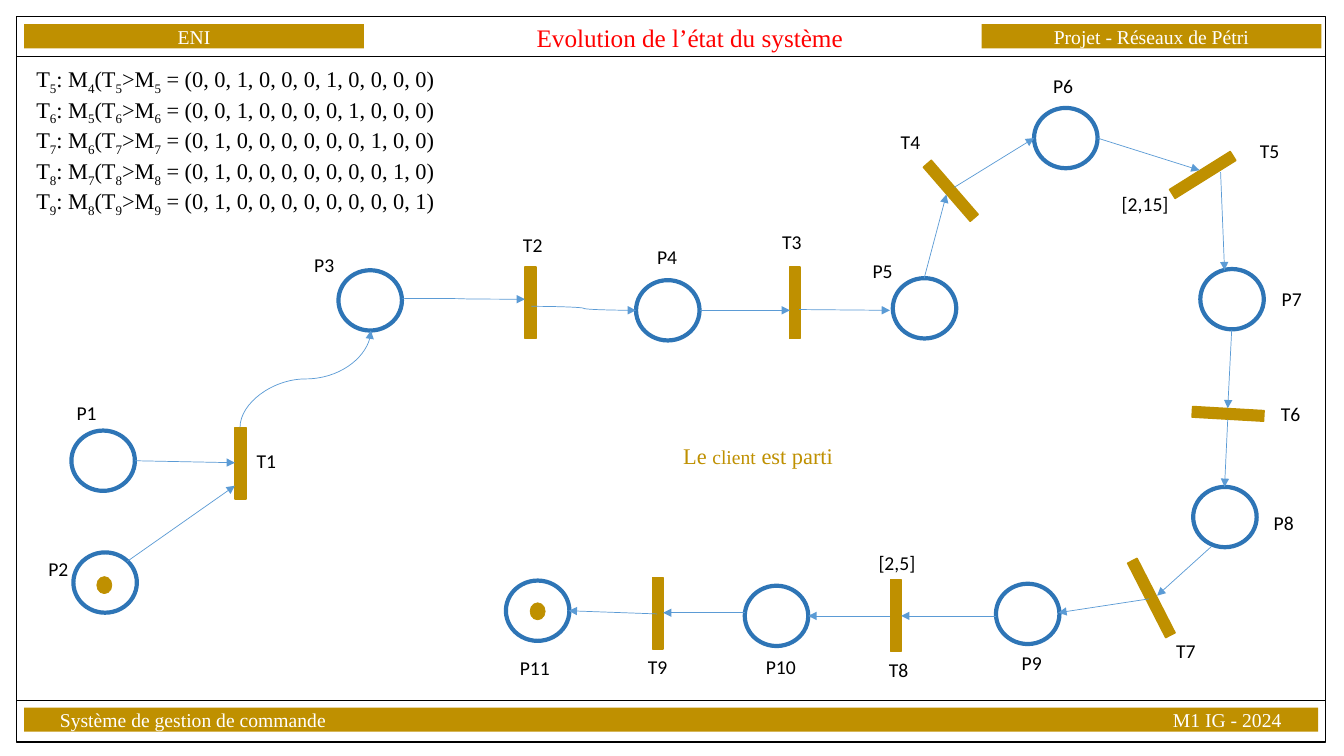
from dataclasses import dataclass

from lxml import etree
from pptx import Presentation
from pptx.dml.color import RGBColor
from pptx.enum.shapes import MSO_CONNECTOR, MSO_SHAPE
from pptx.enum.text import MSO_ANCHOR, MSO_AUTO_SIZE, PP_ALIGN
from pptx.oxml.ns import qn
from pptx.util import Cm, Pt

OVAL, RECT, MINUS = MSO_SHAPE.OVAL, MSO_SHAPE.RECTANGLE, MSO_SHAPE.MATH_MINUS
LINE, CURVE = MSO_CONNECTOR.STRAIGHT, MSO_CONNECTOR.CURVE
LEFT, MID = PP_ALIGN.LEFT, PP_ALIGN.CENTER
TOP, CENTRE = MSO_ANCHOR.TOP, MSO_ANCHOR.MIDDLE
FIXED = MSO_AUTO_SIZE.NONE


@dataclass(frozen=True)
class Theme:
    gold: str = "BF9000"
    ring: str = "2E75B6"
    arc: str = "5B9BD5"
    red: str = "FF0000"
    black: str = "000000"
    white: str = "FFFFFF"
    serif: str = "Times New Roman"
    sans: str = "Calibri"
    small: int = 14
    text: int = 16
    title: int = 18


THEME = Theme()

# name, left, top, label left, label top
PLACES = [
    ("P1", 1.8, 10.85, 1.68, 9.98),
    ("P2", 1.85, 13.92, 0.97, 13.92),
    ("P3", 8.53, 6.81, 7.67, 6.25),
    ("P4", 16.03, 7.06, 16.31, 6.05),
    ("P5", 22.5, 7.01, 21.74, 6.4),
    ("P6", 26.06, 2.72, 26.29, 1.75),
    ("P7", 30.25, 6.78, 32.05, 7.11),
    ("P8", 30.07, 12.27, 31.85, 12.75),
    ("P9", 25.1, 14.71, 25.5, 16.28),
    ("P10", 18.77, 14.76, 19.05, 16.38),
    ("P11", 12.75, 14.63, 12.85, 16.41),
]
# name, left, top, width, turn, label left, label top
BARS = [
    ("T1", 4.83, 11.1, 2.46, 90, 6.22, 11.18),
    ("T2", 12.14, 7.06, 2.46, 270, 12.93, 5.74),
    ("T3", 18.8, 7.06, 2.46, 270, 19.46, 5.66),
    ("T4", 22.73, 4.24, 2.46, 49.1, 22.45, 3.15),
    ("T5", 29.08, 3.84, 2.46, 328, 31.5, 3.38),
    ("T6", 29.72, 9.86, 2.46, 3.3, 32.03, 10.01),
    ("T7", 27.58, 14.5, 2.87, 62.9, 29.39, 15.98),
    ("T8", 21.34, 14.94, 2.46, 90, 22.15, 16.46),
    ("T9", 15.34, 14.88, 2.46, 90, 16.08, 16.38),
]
ARCS = [
    (3.4, 11.61, 5.92, 11.66), (3.2, 14.15, 5.92, 12.24),
    (17.63, 7.82, 19.91, 7.82), (20.14, 7.8, 22.43, 7.82),
    (23.29, 7.01, 23.85, 4.9), (24.05, 4.72, 26.06, 3.48),
    (27.66, 3.48, 30.23, 4.29), (30.76, 4.34, 30.86, 6.81),
    (31.04, 8.31, 30.94, 10.29), (30.94, 10.57, 30.86, 12.27),
    (30.53, 13.77, 29.16, 15.01), (28.96, 15.09, 26.67, 15.44),
    (25.1, 15.52, 22.71, 15.52), (22.43, 15.52, 20.37, 15.52),
    (18.77, 15.44, 16.71, 15.44), (16.56, 15.47, 14.33, 15.39),
]
BENDS = [(10.13, 7.52, 13.23, 7.54), (13.39, 7.72, 16.03, 7.82)]
TOKENS = [(2.44, 14.53), (13.36, 15.19)]
DELAYS = [("[2,15]", 28.02, 4.72), ("[2,5]", 21.89, 13.77)]
# step number and the places that then hold a token
STEPS = [(5, (3, 7)), (6, (3, 8)), (7, (2, 9)), (8, (2, 10)), (9, (2, 11))]


def add_run(par, text, size, color, font=THEME.serif, sub=False):
    run = par.add_run()
    run.text = text
    run.font.name, run.font.size = font, Pt(size)
    run.font.bold = False
    run.font.color.rgb = RGBColor.from_string(color)
    if sub:
        run.font._element.set("baseline", "-25000")


def set_frame(shape, anchor=TOP, inset=None):
    frame = shape.text_frame
    frame.word_wrap, frame.auto_size = True, FIXED
    frame.vertical_anchor = anchor
    if inset is not None:
        frame.margin_left = frame.margin_right = Cm(inset)
        frame.margin_top = frame.margin_bottom = 0
    return frame


def move(shape, *box):
    shape.left, shape.top, shape.width, shape.height = map(Cm, box)


def add_shape(slide, kind, box, fill=None, line=None, width=1.0, turn=0):
    shape = slide.shapes.add_shape(kind, *map(Cm, box))
    shape.shadow.inherit = False
    shape.rotation = turn
    if fill:
        shape.fill.solid()
        shape.fill.fore_color.rgb = RGBColor.from_string(fill)
    else:
        shape.fill.background()
    if line:
        shape.line.color.rgb = RGBColor.from_string(line)
        shape.line.width = Pt(width)
    else:
        shape.line.fill.background()
    return shape


def add_line(slide, ends, color, kind=LINE, arrow=True, turn=0):
    line = slide.shapes.add_connector(kind, *map(Cm, ends))
    line.line.color.rgb = RGBColor.from_string(color)
    line.line.width = Pt(0.5)
    props = line._element.spPr
    etree.SubElement(props, qn("a:effectLst"))
    if arrow:
        etree.SubElement(props.find(qn("a:ln")), qn("a:tailEnd"), type="triangle")
    if turn:
        props.find(qn("a:xfrm")).set("rot", str(turn * 60000))


def add_label(slide, text, left, top, width=1.37):
    box = slide.shapes.add_textbox(Cm(left), Cm(top), Cm(width), Cm(0.86))
    par = set_frame(box).paragraphs[0]
    add_run(par, text, THEME.small, THEME.black, THEME.sans)


def add_band(slide, text, left, top, width, align=MID, inset=0):
    band = add_shape(slide, RECT, (left, top, width, 0.61), THEME.gold)
    par = set_frame(band, CENTRE, inset).paragraphs[0]
    par.alignment = align
    add_run(par, text, THEME.small, THEME.white)
    return par


def set_tab(par, pos):
    tabs = etree.SubElement(par._p.get_or_add_pPr(), qn("a:tabLst"))
    etree.SubElement(tabs, qn("a:tab"), pos=str(Cm(pos)), algn="l")


def fill_steps(body):
    """Write one firing rule with its marking on each line."""
    move(body, 0.66, 1.52, 13.31, 3.76)
    frame = set_frame(body)
    for row, (step, held) in enumerate(STEPS):
        par = frame.add_paragraph() if row else frame.paragraphs[0]
        par.space_before = Pt(0)
        props = par._p.get_or_add_pPr()
        props.set("marL", "0")
        props.set("indent", "0")
        etree.SubElement(props, qn("a:buNone"))
        marks = ", ".join(str(int(n in held)) for n in range(1, len(PLACES) + 1))
        parts = ["T", step, ": M", step - 1, "(T", step, ">M", step, f" = ({marks})"]
        for part in parts:
            add_run(par, str(part), THEME.text, THEME.black, sub=isinstance(part, int))


def add_border(slide):
    add_shape(slide, RECT, (0.41, 0.41, 32.99, 18.29), line=THEME.black)
    for y in (1.42, 17.65):
        add_line(slide, (0.41, y, 33.4, y), THEME.black, arrow=False)
    add_band(slide, "ENI", 0.61, 0.61, 8.56)
    add_band(slide, "Projet - Réseaux de Pétri", 24.74, 0.61, 8.56)
    foot = add_band(slide, "Système de gestion de commande\tM1 IG - 2024",
                    0.61, 17.83, 32.61, LEFT, 0.9)
    set_tab(foot, 28.05)


def add_net(slide):
    for name, left, top, width, turn, x, y in BARS:
        add_shape(slide, MINUS, (left, top, width, 1.14), THEME.gold, THEME.gold, turn=turn)
        add_label(slide, name, x, y)
    for name, left, top, x, y in PLACES:
        add_shape(slide, OVAL, (left, top, 1.6, 1.52), line=THEME.ring, width=3)
        add_label(slide, name, x, y)
    for ends in ARCS:
        add_line(slide, ends, THEME.arc)
    for ends in BENDS:
        add_line(slide, ends, THEME.arc, CURVE)
    add_line(slide, (8.92, 11.2, 6.48, 7.9), THEME.arc, CURVE, turn=90)
    for left, top in TOKENS:
        add_shape(slide, OVAL, (left, top, 0.38, 0.43), THEME.gold, THEME.gold, 0.5)
    for text, left, top in DELAYS:
        add_label(slide, text, left, top, 1.75)


def add_status(slide):
    box = slide.shapes.add_textbox(Cm(14), Cm(11.02), Cm(10.21), Cm(0.94))
    par = set_frame(box).paragraphs[0]
    par.alignment = MID
    for text, size in (("Le ", THEME.text), ("client", THEME.small), (" est parti", THEME.text)):
        add_run(par, text, size, THEME.gold)


def main():
    deck = Presentation()
    deck.slide_width, deck.slide_height = Cm(33.87), Cm(19.05)
    slide = deck.slides.add_slide(deck.slide_layouts[1])
    title, body = slide.placeholders
    move(title, 13.18, 0.56, 8.41, 0.76)
    head = set_frame(title, CENTRE, 0).paragraphs[0]
    head.alignment = MID
    add_run(head, "Evolution de l’état du système", THEME.title, THEME.red)
    fill_steps(body)
    add_net(slide)
    add_border(slide)
    add_status(slide)
    deck.save("out.pptx")


if __name__ == "__main__":
    main()
